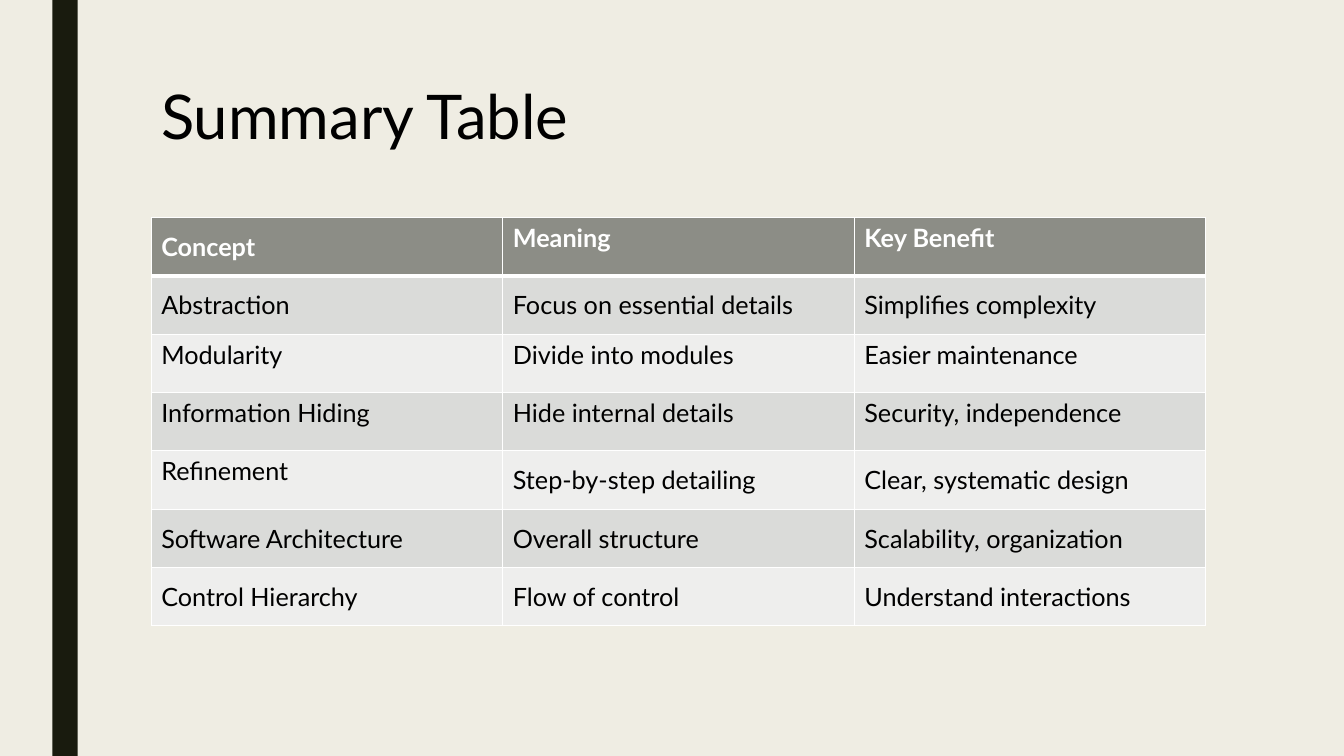
from dataclasses import dataclass

from lxml.etree import SubElement
from pptx import Presentation
from pptx.dml.color import RGBColor
from pptx.enum.shapes import MSO_SHAPE
from pptx.enum.text import MSO_ANCHOR
from pptx.oxml.ns import qn
from pptx.util import Inches, Pt


@dataclass(frozen=True)
class Theme:
    font: str = "Lato"
    title_size: int = 44
    table_size: int = 18
    background: str = "EFEDE3"
    stripe: str = "191B0E"
    text: str = "000000"
    header_text: str = "FFFFFF"
    header_fill: str = "8C8D86"
    odd_fill: str = "DADBD9"
    even_fill: str = "EEEEED"
    border: str = "FFFFFF"
    border_width: int = 1
    header_rule_width: int = 3


THEME = Theme()

CONCEPTS = [
    ("Concept", "Meaning", "Key Benefit"),
    ("Abstraction", "Focus on essential details", "Simplifies complexity"),
    ("Modularity", "Divide into modules", "Easier maintenance"),
    ("Information Hiding", "Hide internal details", "Security, independence"),
    ("Refinement", "Step-by-step detailing", "Clear, systematic design"),
    ("Software Architecture", "Overall structure", "Scalability, organization"),
    ("Control Hierarchy", "Flow of control", "Understand interactions"),
]
# (row, column) of the cells whose text sits at the top; the rest are centred
TOP_CELLS = {(0, 1), (0, 2), (4, 0)} | {(row, column) for row in (2, 3) for column in range(3)}


def style_text(para, size, color, bold=False):
    para.font.name = THEME.font
    para.font.size = Pt(size)
    para.font.bold = bold
    para.font.color.rgb = RGBColor.from_string(color)


def add_stripe(page, left, top, width, height):
    stripe = page.shapes.add_shape(
        MSO_SHAPE.RECTANGLE, Inches(left), Inches(top), Inches(width), Inches(height))
    stripe.shadow.inherit = False
    stripe.fill.solid()
    stripe.fill.fore_color.rgb = RGBColor.from_string(THEME.stripe)
    stripe.line.fill.background()


def add_title(page, text, left, top, width, height):
    box = page.shapes.add_textbox(Inches(left), Inches(top), Inches(width), Inches(height))
    box.text_frame.word_wrap = True
    para = box.text_frame.paragraphs[0]
    para.text = text
    style_text(para, THEME.title_size, THEME.text)


def set_borders(cell, top_width, bottom_width):
    """Draw the four cell borders; they must precede the fill in the cell's XML."""
    properties = cell._tc.get_or_add_tcPr()
    side = THEME.border_width
    widths = {"a:lnL": side, "a:lnR": side, "a:lnT": top_width, "a:lnB": bottom_width}
    for tag, width in widths.items():
        line = SubElement(properties, qn(tag), w=str(Pt(width)))
        SubElement(SubElement(line, qn("a:solidFill")), qn("a:srgbClr"), val=THEME.border)


def style_cell(cell, row, column):
    is_header = row == 0
    thin, thick = THEME.border_width, THEME.header_rule_width
    set_borders(cell, thick if row == 1 else thin, thick if is_header else thin)
    band = THEME.odd_fill if row % 2 else THEME.even_fill
    cell.fill.solid()
    cell.fill.fore_color.rgb = RGBColor.from_string(THEME.header_fill if is_header else band)
    cell.vertical_anchor = MSO_ANCHOR.TOP if (row, column) in TOP_CELLS else MSO_ANCHOR.MIDDLE
    color = THEME.header_text if is_header else THEME.text
    style_text(cell.text_frame.paragraphs[0], THEME.table_size, color, is_header)


def add_concept_table(page, rows, left, top, width, height):
    table = page.shapes.add_table(
        len(rows), len(rows[0]), Inches(left), Inches(top), Inches(width), Inches(height)).table
    for row, texts in enumerate(rows):
        for column, text in enumerate(texts):
            cell = table.cell(row, column)
            cell.text = text
            style_cell(cell, row, column)


def build_summary_page(deck):
    page = deck.slides.add_slide(deck.slide_layouts[6])
    page.background.fill.solid()
    page.background.fill.fore_color.rgb = RGBColor.from_string(THEME.background)
    add_stripe(page, 0.52, 0, 0.25, 7.5)
    add_concept_table(page, CONCEPTS, 1.5, 2.16, 10.46, 4.05)
    add_title(page, "Summary Table", 1.5, 0.72, 6.67, 0.84)


def main():
    deck = Presentation()
    deck.slide_width, deck.slide_height = Inches(13.33), Inches(7.5)
    build_summary_page(deck)
    deck.save("out.pptx")


if __name__ == "__main__":
    main()
